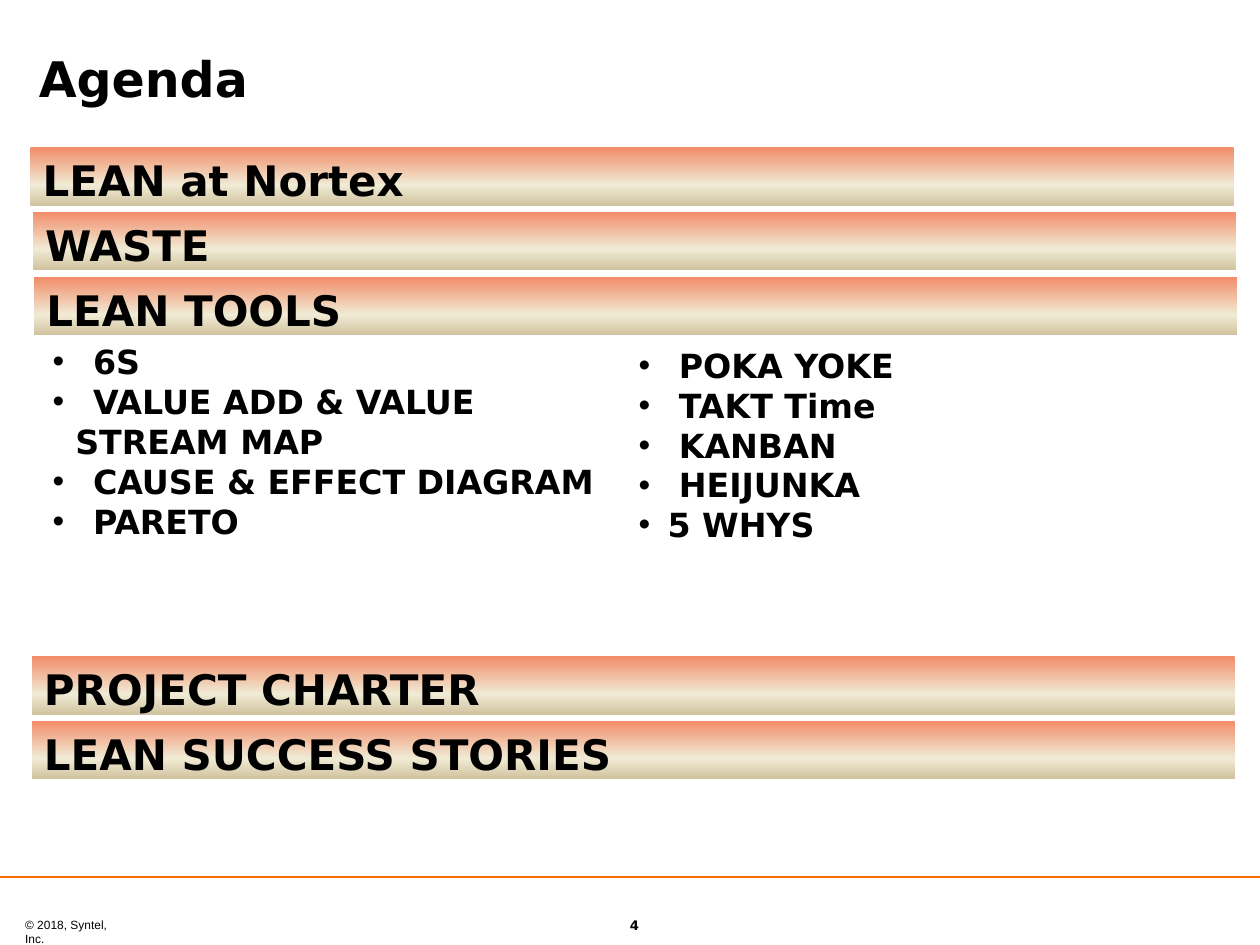
from pptx import Presentation
from pptx.dml.color import RGBColor
from pptx.enum import shapes, text
from pptx.oxml import parse_xml
from pptx.oxml.ns import nsdecls
from pptx.util import Inches, Pt

BLACK = RGBColor(0x00, 0x00, 0x00)
ORANGE = RGBColor(0xF2, 0x6E, 0x01)
CORAL = RGBColor(0xF2, 0x8C, 0x69)
CREAM = RGBColor(0xF0, 0xEB, 0xD5)
TAN = RGBColor(0xD1, 0xC3, 0x9F)
FONT = "DejaVu Sans"

prs = Presentation()
prs.slide_width, prs.slide_height = Inches(10), Inches(7.5)
s = prs.slides.add_slide(prs.slide_layouts[6])


def style(p, size, name=FONT, bold=True):
    for r in p.runs:
        r.font.size, r.font.name, r.font.bold = Pt(size), name, bold
        r.font.color.rgb = BLACK


def add_text(x, y, w, h, words, size, **look):
    tf = s.shapes.add_textbox(Inches(x), Inches(y), Inches(w), Inches(h)).text_frame
    tf.text = words
    for p in tf.paragraphs:
        style(p, size, **look)
    return tf


# Footer: rule, copyright, slide number
line = s.shapes.add_connector(shapes.MSO_CONNECTOR.STRAIGHT, 0, Inches(6.96), Inches(10), Inches(6.96))
line.line.color.rgb = ORANGE
line.line.width = Pt(0.75)
line._element.spPr.append(parse_xml(f"<a:effectLst {nsdecls('a')}/>"))

copyright_tf = add_text(0.2, 7.28, 0.83, 0.11, "© 2018, Syntel, Inc.", 6.8, name="Arial", bold=False)
number_tf = add_text(4.93, 7.28, 0.21, 0.13, "4", 7.5)
number_tf.vertical_anchor = text.MSO_ANCHOR.MIDDLE
number_tf.paragraphs[0].alignment = text.PP_ALIGN.CENTER
for tf in (copyright_tf, number_tf):
    tf.word_wrap = False
    tf.margin_left = tf.margin_right = tf.margin_top = tf.margin_bottom = 0

# Title
title_tf = add_text(0.21, 0.28, 8.42, 0.67, "Agenda", 28)
title_tf.word_wrap = True
title_tf.vertical_anchor = text.MSO_ANCHOR.MIDDLE

# Section bars
bars = [
    (0.24, 1.17, "LEAN at Nortex"),
    (0.26, 1.68, "WASTE"),
    (0.27, 2.2, "LEAN TOOLS"),
    (0.25, 5.21, "PROJECT CHARTER"),
    (0.25, 5.72, "LEAN SUCCESS STORIES"),
]
for x, y, words in bars:
    sp = s.shapes.add_shape(shapes.MSO_SHAPE.RECTANGLE, Inches(x), Inches(y), Inches(9.55), Inches(0.46))
    sp.shadow.inherit = False
    sp.line.fill.background()
    sp.fill.gradient()
    sp.fill.gradient_angle = 270  # counter-clockwise, so top to bottom
    stops = sp.fill._fill._gradFill.gsLst
    for gs in list(stops):
        stops.remove(gs)
    for pos, color in ((0, CORAL), (65, CREAM), (100, TAN)):
        stops.append(parse_xml(
            f'<a:gs {nsdecls("a")} pos="{pos * 1000}"><a:srgbClr val="{color}"/></a:gs>'))
    tf = sp.text_frame
    tf.text = words
    tf.vertical_anchor = text.MSO_ANCHOR.TOP
    tf.margin_top = Inches(0.06)
    tf.paragraphs[0].alignment = text.PP_ALIGN.LEFT
    style(tf.paragraphs[0], 24)

# Lean tools in two columns: (text, left indent, bulleted)
columns = [
    (0.32, 2.66, 2.02, [
        ("6S", 0.32, True),
        ("VALUE ADD & VALUE", 0.32, True),
        ("STREAM MAP", 0.18, False),
        ("CAUSE & EFFECT DIAGRAM", 0.32, True),
        ("PARETO", 0.32, True),
    ]),
    (4.97, 2.69, 1.7, [
        ("POKA YOKE", 0.32, True),
        ("TAKT Time", 0.32, True),
        ("KANBAN", 0.32, True),
        ("HEIJUNKA", 0.32, True),
        ("5 WHYS", 0.23, True),
    ]),
]
for x, y, h, tools in columns:
    tf = add_text(x, y, 4.74, h, "\n".join(tool for tool, _, _ in tools), 19)
    tf.word_wrap = True
    for p, (_, indent, bulleted) in zip(tf.paragraphs, tools):
        pPr = p._p.get_or_add_pPr()
        pPr.set("marL", str(Inches(indent)))
        if bulleted:
            pPr.set("indent", str(-Inches(indent)))
            pPr.append(parse_xml(f'<a:buFont {nsdecls("a")} typeface="Arial"/>'))
            pPr.append(parse_xml(f'<a:buChar {nsdecls("a")} char="•"/>'))
        p.line_spacing = Pt(22.8)

prs.save("out.pptx")
